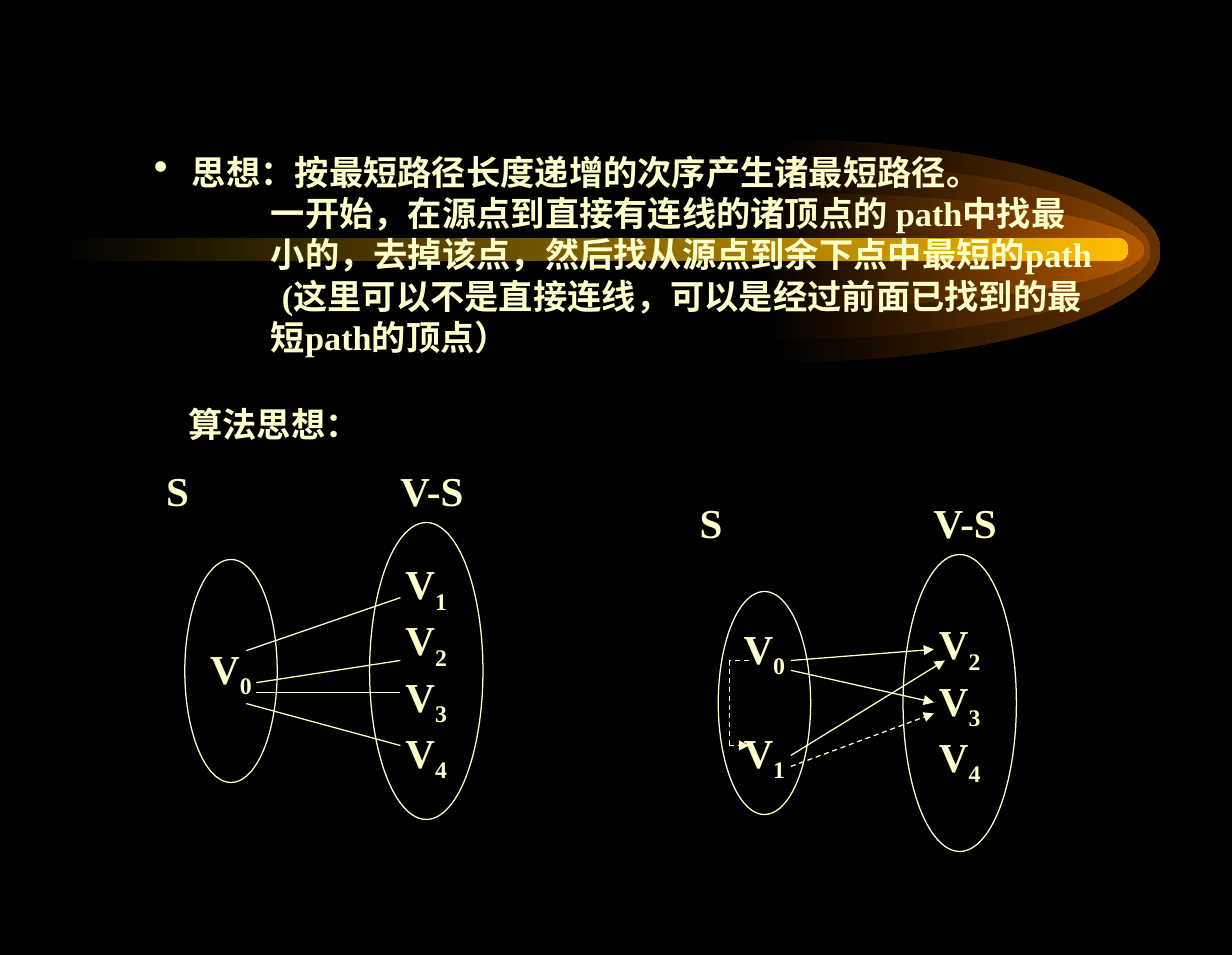
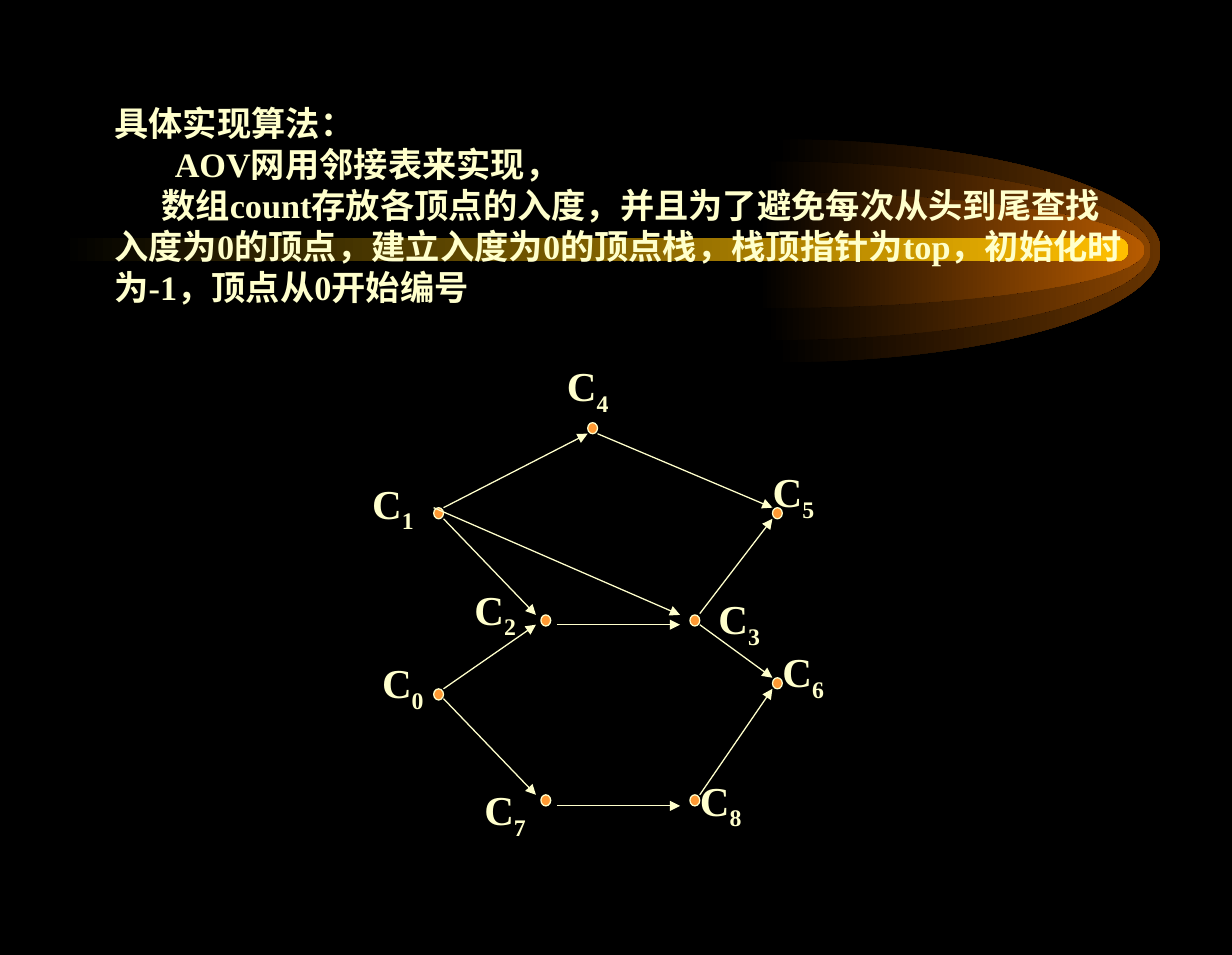
from lxml import etree
from pptx import Presentation
from pptx import util as u
from pptx.dml.color import RGBColor
from pptx.enum import dml, shapes, text
from pptx.oxml.ns import qn

PX = 9144  # 100 px to the inch
FONT = "Times New Roman"
BLACK = RGBColor(0x00, 0x00, 0x00)
CREAM = RGBColor(0xFF, 0xFF, 0xCC)
ORANGE = RGBColor(0xFF, 0x99, 0x33)
GOLD = RGBColor(0xFF, 0xBF, 0x00)
LEFT, CENTER = text.PP_ALIGN.LEFT, text.PP_ALIGN.CENTER
OVAL = shapes.MSO_SHAPE.OVAL

# Comet layers: left, top, height, colour
COMET = [
    (629, 113, 181, RGBColor(0x66, 0x33, 0x00)),
    (621, 131, 145, RGBColor(0x89, 0x44, 0x00)),
    (616, 156, 94, RGBColor(0xB7, 0x5B, 0x00)),
]
COMET_LENGTH = 313
BEND = 0.55  # Bézier handle length for a quarter ellipse


def write_text(shape, lines, size=24, align=CENTER, anchor=text.MSO_ANCHOR.TOP,
               wrap=False, fit=True, margins=(), bullet=None, gap=0):
    """Fill a shape with lines; "V_1" sets the 1 as a subscript.

    margins holds (left margin, first-line indent) in px for each line.
    """
    frame = shape.text_frame
    frame.word_wrap = wrap
    frame.vertical_anchor = anchor
    if fit:
        frame.auto_size = text.MSO_AUTO_SIZE.SHAPE_TO_FIT_TEXT
    for index, line in enumerate(lines):
        paragraph = frame.paragraphs[0] if index == 0 else frame.add_paragraph()
        properties = paragraph._p.get_or_add_pPr()
        if margins:
            left, indent = margins[index]
            properties.set("marL", str(left * PX))
            properties.set("indent", str(indent * PX))
        if bullet and index == 0:
            etree.SubElement(properties, qn("a:buSzPct")).set("val", "120000")
            etree.SubElement(properties, qn("a:buChar")).set("char", bullet)
        paragraph.alignment = align
        if gap and index:
            paragraph.space_before = u.Pt(gap)
        for position, part in enumerate(line.split("_")):
            run = paragraph.add_run()
            run.text = part
            run.font.name = FONT
            run.font.size = u.Pt(size)
            run.font.bold = True
            run.font.color.rgb = CREAM
            if position:
                run._r.get_or_add_rPr().set("baseline", "-25000")


def add_line(slide, ends, arrow=True, dashed=False):
    line = slide.shapes.add_connector(
        shapes.MSO_CONNECTOR.STRAIGHT, *(value * PX for value in ends))
    line.line.color.rgb = CREAM
    line.line.width = u.Pt(0.75)
    if dashed:
        line.line.dash_style = dml.MSO_LINE.DASH
    if arrow:
        outline = line.line._get_or_add_ln()
        etree.SubElement(outline, qn("a:tailEnd")).set("type", "triangle")
    etree.SubElement(line._element.spPr, qn("a:effectLst"))


presentation = Presentation()
presentation.slide_width = 1000 * PX
presentation.slide_height = 775 * PX
master = presentation.slide_master
background = master.background.fill
background.solid()
background.fore_color.rgb = BLACK
slides = [presentation.slides.add_slide(presentation.slide_layouts[6])
          for _ in range(2)]

# Master: comet of half ellipses and a glowing bar, drawn on a slide, then moved
slide = slides[0]
glows = []
for left, top, height, color in COMET:
    radius = height / 2
    middle, bottom, right = top + radius, top + height, left + COMET_LENGTH
    bend_x, bend_y = left + BEND * COMET_LENGTH, BEND * radius
    points = [
        (bend_x, top), (right, middle - bend_y), (right, middle),
        (right, middle + bend_y), (bend_x, bottom), (left, bottom),
    ]
    builder = slide.shapes.build_freeform(left * PX, top * PX)
    builder.add_line_segments([(x * PX, y * PX) for x, y in points])
    comet = builder.convert_to_shape()
    # Every three segments become one curve
    segments = list(comet._element.iter(qn("a:lnTo")))[:6]
    for first in (0, 3):
        curve = etree.Element(qn("a:cubicBezTo"))
        segments[first].addprevious(curve)
        for segment in segments[first:first + 3]:
            curve.append(segment[0])
            segment.getparent().remove(segment)
    glows.append((comet, color))
bar = slide.shapes.add_shape(
    shapes.MSO_SHAPE.ROUNDED_RECTANGLE, 50 * PX, 193 * PX, 866 * PX, 19 * PX)
bar.adjustments[0] = 0.5
glows.append((bar, GOLD))
for shape, color in glows:
    shape.shadow.inherit = False
    shape.line.fill.background()
    shape.fill.gradient()
    shape.fill.gradient_angle = 0
    for stop, stop_color, position in zip(
            shape.fill.gradient_stops, (BLACK, color), (0, 1)):
        stop.color.rgb = stop_color
        stop.position = position
    master.shapes._spTree.append(shape._element)

# Slide 1: shortest paths
idea = slide.shapes.add_textbox(115 * PX, 112 * PX, 802 * PX, 184 * PX)
idea.text_frame.margin_top = 11 * PX
write_text(idea, [
    "思想：按最短路径长度递增的次序产生诸最短路径。",
    "一开始，在源点到直接有连线的诸顶点的 path中找最",
    "小的，去掉该点，然后找从源点到余下点中最短的path",
    "(这里可以不是直接连线，可以是经过前面已找到的最",
    "短path的顶点）",
], size=20, align=LEFT, wrap=True, bullet="•",
    margins=[(31, -31), (95, 0), (95, 0), (104, 0), (95, 0)])

# Each step: left, top, found vertices, gap between them, remaining vertices
steps = [
    (125, 373, ["V_0"], 0, ["V_1", "V_2", "V_3", "V_4"]),
    (558, 399, ["V_0", "V_1"], 28, ["V_2", "V_3", "V_4"]),
]
for left, top, found, gap, remaining in steps:
    for name, x, width, align in (("S", 0, 38, LEFT), ("V-S", 189, 73, CENTER)):
        label = slide.shapes.add_textbox(
            (left + x) * PX, top * PX, width * PX, 50 * PX)
        write_text(label, [name], align=align)
    for vertices, x, y, width, height, spacing in (
            (found, 25, 81, 75, 181, gap), (remaining, 175, 51, 92, 241, 0)):
        oval = slide.shapes.add_shape(
            OVAL, (left + x) * PX, (top + y) * PX, width * PX, height * PX)
        oval.shadow.inherit = False
        oval.fill.background()
        oval.line.color.rgb = CREAM
        oval.line.width = u.Pt(0.75)
        write_text(oval, vertices, anchor=text.MSO_ANCHOR.MIDDLE,
                   fit=False, gap=spacing)

for ends in [(200, 528, 325, 485), (208, 554, 325, 536),
             (208, 562, 325, 562), (200, 571, 325, 605)]:
    add_line(slide, ends, arrow=False)
for ends in [(608, 536, 592, 536), (592, 536, 592, 605)]:
    add_line(slide, ends, arrow=False, dashed=True)
for ends in [(592, 605, 608, 605), (642, 622, 758, 579)]:
    add_line(slide, ends, dashed=True)
for ends in [(642, 536, 758, 527), (642, 613, 767, 536), (642, 544, 758, 570)]:
    add_line(slide, ends)

heading = slide.shapes.add_textbox(143 * PX, 322 * PX, 159 * PX, 44 * PX)
write_text(heading, ["算法思想："], size=20, align=LEFT)

# Slide 2: topological order
slide = slides[1]
method = slide.shapes.add_textbox(83 * PX, 78 * PX, 842 * PX, 177 * PX)
write_text(method, [
    "具体实现算法：",
    "AOV网用邻接表来实现，",
    "数组count存放各顶点的入度，并且为了避免每次从头到尾查找"
    "入度为0的顶点，建立入度为0的顶点栈，栈顶指针为top，"
    "初始化时为-1，顶点从0开始编号",
], size=20, align=LEFT, wrap=True, margins=[(0, 0), (0, 49), (0, 38)])

# Each vertex: dot left and top, label left and top
vertices = {
    "C_0": (352, 559, 300, 529),
    "C_1": (352, 412, 292, 383),
    "C_2": (439, 499, 375, 469),
    "C_3": (560, 499, 573, 477),
    "C_4": (477, 343, 450, 288),
    "C_5": (627, 412, 617, 374),
    "C_6": (627, 550, 625, 520),
    "C_7": (439, 645, 383, 632),
    "C_8": (560, 645, 558, 624),
}
for name, (x, y, label_x, label_y) in vertices.items():
    dot = slide.shapes.add_shape(OVAL, x * PX, y * PX, 8 * PX, 9 * PX)
    dot.shadow.inherit = False
    dot.fill.solid()
    dot.fill.fore_color.rgb = ORANGE
    dot.line.color.rgb = CREAM
    dot.line.width = u.Pt(0.75)
    label = slide.shapes.add_textbox(label_x * PX, label_y * PX, 54 * PX, 56 * PX)
    write_text(label, [name])

for ends in [
    (360, 412, 477, 352), (352, 412, 552, 499), (360, 421, 435, 499),
    (452, 507, 552, 507), (485, 352, 627, 412), (568, 498, 627, 421),
    (568, 507, 627, 550), (360, 559, 435, 507), (360, 567, 435, 645),
    (452, 654, 552, 654), (568, 645, 627, 559),
]:
    add_line(slide, ends)

presentation.save("out.pptx")
